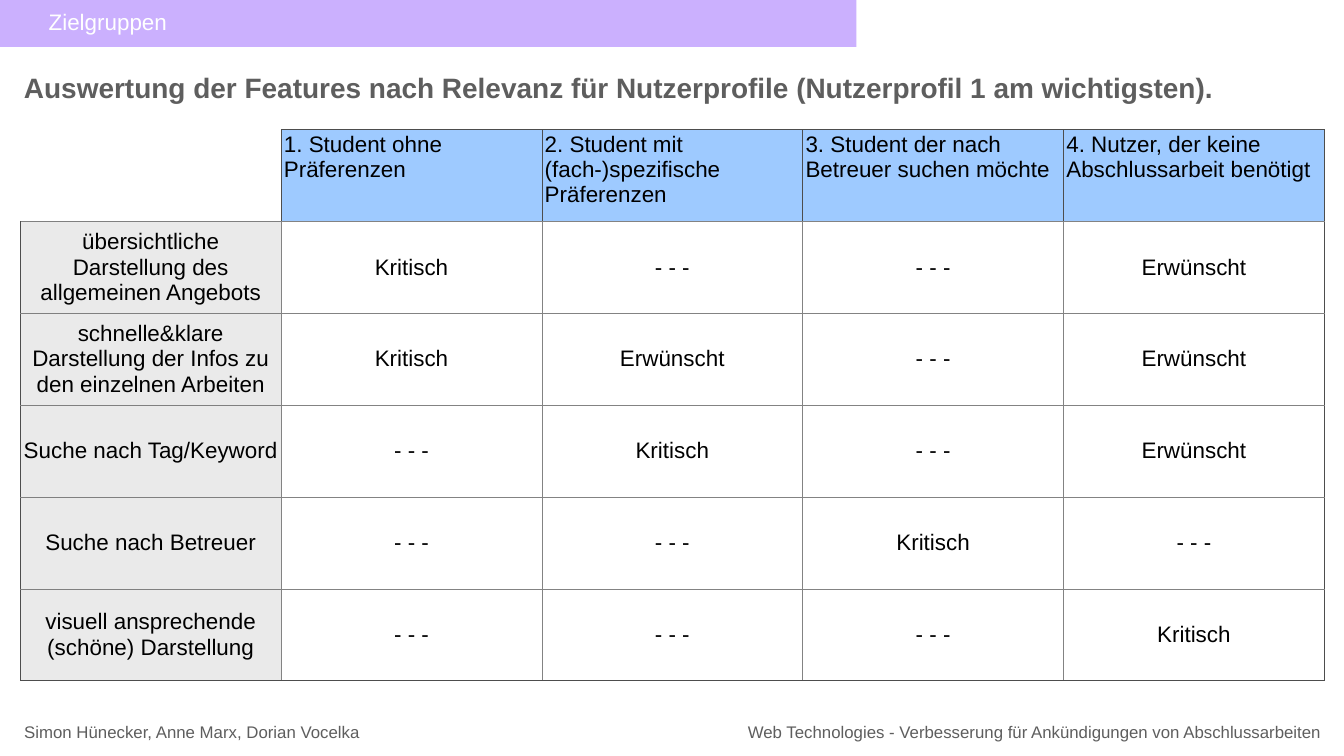
from lxml import etree
from pptx import Presentation
from pptx.dml.color import RGBColor
from pptx.enum import shapes, text
from pptx.oxml.ns import qn
from pptx.util import Pt

WHITE = RGBColor(0xFF, 0xFF, 0xFF)
BLACK = RGBColor(0, 0, 0)
GREY = RGBColor(0x5E, 0x5E, 0x5E)
VIOLET = RGBColor(0x8D, 0x52, 0xFD)
HEADER_BLUE = RGBColor(0x9E, 0xCA, 0xFF)
FEATURE_GREY = RGBColor(0xEA, 0xEA, 0xEA)
OUTER_LINE = RGBColor(0x4D, 0x4D, 0x4D)
FEATURE_LINE = RGBColor(0x80, 0x80, 0x80)
INNER_LINE = RGBColor(0x83, 0x83, 0x83)

INSET = Pt(4)
NONE = "- - -"
CRITICAL = "Kritisch"
WANTED = "Erwünscht"

PROFILES = [
    "1. Student ohne Präferenzen",
    "2. Student mit (fach-)spezifische Präferenzen",
    "3. Student der nach Betreuer suchen möchte",
    "4. Nutzer, der keine Abschlussarbeit benötigt",
]
FEATURES = [
    ("übersichtliche Darstellung des allgemeinen Angebots", CRITICAL, NONE, NONE, WANTED),
    ("schnelle&klare Darstellung der Infos zu den einzelnen Arbeiten",
     CRITICAL, WANTED, NONE, WANTED),
    ("Suche nach Tag/Keyword", NONE, CRITICAL, NONE, WANTED),
    ("Suche nach Betreuer", NONE, NONE, CRITICAL, NONE),
    ("visuell ansprechende (schöne) Darstellung", NONE, NONE, NONE, CRITICAL),
]


def write(frame, words, size=32, color=BLACK, bold=False, align=text.PP_ALIGN.CENTER):
    """Write one formatted paragraph and return it."""
    paragraph = frame.paragraphs[0]
    paragraph.alignment = align
    run = paragraph.add_run()
    run.text = words
    run.font.name = "Arial"
    run.font.size = Pt(size)
    run.font.bold = bold
    run.font.color.rgb = color
    return paragraph


def set_insets(holder):
    """Give a text frame or a table cell the common inner margins."""
    holder.margin_left = holder.margin_right = INSET
    holder.margin_top = holder.margin_bottom = INSET


def add_line_of_text(slide, box, words, **style):
    """Place one unwrapped line of text, centred in the box."""
    frame = slide.shapes.add_textbox(*map(Pt, box)).text_frame
    set_insets(frame)
    frame.word_wrap = False
    frame.vertical_anchor = text.MSO_ANCHOR.MIDDLE
    write(frame, words, color=GREY, **style)


def add_section_bar(slide, box, words):
    """Place the translucent section bar with its indented label."""
    bar = slide.shapes.add_shape(shapes.MSO_SHAPE.RECTANGLE, *map(Pt, box))
    bar.shadow.inherit = False
    bar.line.fill.background()
    bar.fill.solid()
    bar.fill.fore_color.rgb = VIOLET
    color = bar.fill._xPr.find(".//" + qn("a:srgbClr"))
    etree.SubElement(color, qn("a:alpha"), val="45000")
    set_insets(bar.text_frame)
    bar.text_frame.vertical_anchor = text.MSO_ANCHOR.MIDDLE
    label = write(bar.text_frame, words, color=WHITE, align=text.PP_ALIGN.LEFT)
    props = label._p.get_or_add_pPr()
    props.set("marL", "0")
    props.set("indent", str(Pt(72)))


def set_borders(cell, colors):
    """Draw the left, right, top and bottom border; None means no line."""
    props = cell._tc.get_or_add_tcPr()
    for place, (side, color) in enumerate(zip("LRTB", colors)):
        line = etree.Element(qn("a:ln" + side), w=str(Pt(1)))
        if color is None:
            etree.SubElement(line, qn("a:noFill"))
        else:
            fill = etree.SubElement(line, qn("a:solidFill"))
            etree.SubElement(fill, qn("a:srgbClr"), val=str(color))
        props.insert(place, line)


def border_colors(row, col, last_row, last_col):
    """Return the border colours for a cell: dark outside, lighter inside."""
    if row == 0:
        outer = OUTER_LINE if col else None
        return outer, OUTER_LINE, outer, OUTER_LINE
    inner = INNER_LINE if col else FEATURE_LINE
    return (OUTER_LINE if col == 0 else inner,
            OUTER_LINE if col == last_col else inner,
            inner,
            OUTER_LINE if row == last_row else inner)


def add_relevance_table(slide, box):
    """Place the table of features against user profiles."""
    rows = [("", *PROFILES), *FEATURES]
    row_count, col_count = len(rows), len(rows[0])
    table = slide.shapes.add_table(row_count, col_count, *map(Pt, box)).table
    table.first_row = table.horz_banding = False
    for column in table.columns:
        column.width = Pt(box[2] / col_count)
    for row, entries in enumerate(rows):
        table.rows[row].height = Pt(box[3] / row_count)
        for col, words in enumerate(entries):
            cell = table.cell(row, col)
            set_insets(cell)
            is_profile = row == 0 and col > 0
            is_feature = col == 0 and row > 0
            if is_profile or is_feature:
                cell.fill.solid()
                cell.fill.fore_color.rgb = HEADER_BLUE if is_profile else FEATURE_GREY
            else:
                cell.fill.background()
            if row:
                cell.vertical_anchor = text.MSO_ANCHOR.MIDDLE
            if words:
                align = text.PP_ALIGN.CENTER if row else text.PP_ALIGN.LEFT
                write(cell.text_frame, words, align=align)
            set_borders(cell, border_colors(row, col, row_count - 1, col_count - 1))


def add_footer(slide, box):
    """Place the authors at the left and the project at the right of the box."""
    left, top, width, height = box
    project_width = 834
    add_line_of_text(slide, (left, top, 488, height),
                     "Simon Hünecker, Anne Marx, Dorian Vocelka", size=24)
    add_line_of_text(slide, (left + width - project_width, top, project_width, height),
                     "Web Technologies - Verbesserung für Ankündigungen von Abschlussarbeiten",
                     size=24)


def build():
    """Build and save the slide."""
    deck = Presentation()
    deck.slide_width, deck.slide_height = Pt(1920), Pt(1080)
    slide = deck.slides.add_slide(deck.slide_layouts[6])
    add_footer(slide, (30, 1027, 1864.5, 36))
    add_section_bar(slide, (-6.5, -6.5, 1230, 73.5), "Zielgruppen")
    add_relevance_table(slide, (29, 185, 1863, 787.5))
    add_line_of_text(
        slide, (29, 96.5, 1709, 56),
        "Auswertung der Features nach Relevanz für Nutzerprofile "
        "(Nutzerprofil 1 am wichtigsten).",
        size=40, bold=True)
    deck.save("out.pptx")


build()
